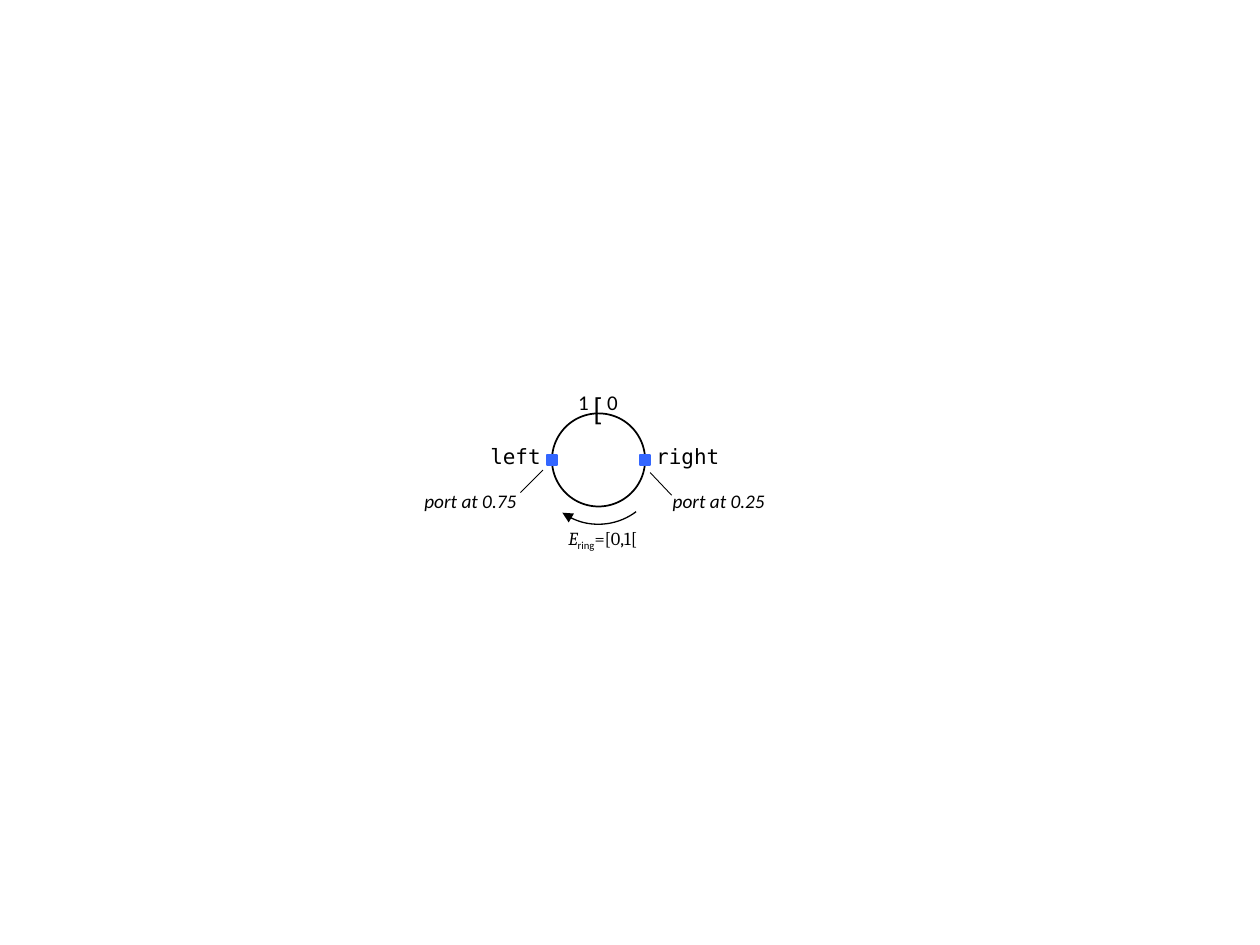
from pptx import Presentation
from pptx.dml.color import RGBColor
from pptx.enum.shapes import MSO_CONNECTOR, MSO_SHAPE
from pptx.enum.text import MSO_AUTO_SIZE, PP_ALIGN
from pptx.oxml.ns import qn
from pptx.util import Pt
from lxml import etree

LEFT, CENTER, RIGHT = PP_ALIGN.LEFT, PP_ALIGN.CENTER, PP_ALIGN.RIGHT
COLORS = {"ink": "000000", "ring": "FFFFFF", "port": "3366FF"}
MONO = {"name": "DejaVu Sans Mono", "size": Pt(12)}
BRACKET = {"name": "Calibri", "size": Pt(18)}
DIGIT = {"name": "Calibri", "size": Pt(12)}
NOTE = {"name": "Calibri", "size": Pt(11), "italic": True}
FORMULA = {"name": "Cambria", "size": Pt(10.5)}

CX, CY, RADIUS = 342, 262.8, 26.6  # ring centre and radius
PORT = 5.8


def color(name):
    return RGBColor.from_string(COLORS[name])


def add_centered(shapes, kind, cx, cy, w, h, line, width, fill=None):
    """Add a preset shape around its centre point."""
    sp = shapes.add_shape(kind, Pt(cx - w / 2), Pt(cy - h / 2), Pt(w), Pt(h))
    sp.shadow.inherit = False
    sp.line.color.rgb = color(line)
    sp.line.width = Pt(width)
    if fill:
        sp.fill.solid()
        sp.fill.fore_color.rgb = color(fill)
    else:
        sp.fill.background()
    return sp


def add_direction_arc(shapes, start, end):
    """Add the arrowed arc under the ring, angles in degrees."""
    sp = add_centered(shapes, MSO_SHAPE.ARC, CX, CY + 0.4, 72, 72.7, "ink", 0.75)
    sp.rotation = 180
    for i, angle in enumerate((start, end)):
        sp.adjustments[i] = angle * 0.6  # 60000 units a degree, scaled by 100000
    etree.SubElement(sp.line._get_or_add_ln(), qn("a:tailEnd"), type="triangle")


def add_label(shapes, x, y, w, h, runs, align=LEFT, wrap=False):
    """Add a text box; runs are (text, font values, baseline percent)."""
    sp = shapes.add_textbox(Pt(x), Pt(y), Pt(w), Pt(h))
    tf = sp.text_frame
    tf.word_wrap = wrap
    tf.auto_size = MSO_AUTO_SIZE.SHAPE_TO_FIT_TEXT
    p = tf.paragraphs[0]
    p.alignment = align
    for text, values, baseline in runs:
        r = p.add_run()
        r.text = text
        r.font.color.rgb = color("ink")
        for key, value in values.items():
            setattr(r.font, key, value)
        if baseline:
            r.font._element.set("baseline", str(baseline * 1000))


def add_leader(shapes, x1, y1, x2, y2):
    line = shapes.add_connector(MSO_CONNECTOR.STRAIGHT, Pt(x1), Pt(y1), Pt(x2), Pt(y2))
    line.line.color.rgb = color("ink")
    line.line.width = Pt(0.5)
    etree.SubElement(line._element.spPr, qn("a:effectLst"))


def main():
    prs = Presentation()
    prs.slide_width, prs.slide_height = Pt(720), Pt(540)
    shapes = prs.slides.add_slide(prs.slide_layouts[6]).shapes

    ring = shapes.add_group_shape().shapes
    add_centered(ring, MSO_SHAPE.OVAL, CX, CY, 2 * RADIUS, 2 * RADIUS, "ink", 1, "ring")
    for side in (1, -1):
        add_centered(ring, MSO_SHAPE.RECTANGLE, CX + side * RADIUS, CY,
                     PORT, PORT, "port", 1, "port")

    add_label(shapes, 272.2, 249.8, 43.9, 21.6, [("left", MONO, 0)], RIGHT)
    add_label(shapes, 367.9, 249.8, 51.1, 21.6, [("right", MONO, 0)])
    add_label(shapes, 331.9, 218.9, 20.2, 28.8, [("[", BRACKET, 0)])
    ends = shapes.add_group_shape().shapes
    for x, digit in ((339.8, "0"), (323.3, "1")):
        add_label(ends, x, 218.9, 20.9, 21.6, [(digit, DIGIT, 0)])

    add_direction_arc(shapes, 233.67, 304.8)
    add_label(shapes, 314.6, 297.4, 59.8, 20.2, [
        ("E", {**FORMULA, "italic": True}, 0),
        ("ring", {**FORMULA, "name": "Calibri"}, -25),
        ("=[0,1[", FORMULA, 0),
    ], CENTER)

    for x, text in ((377.3, "port at 0.25"), (235.4, "port at 0.75")):
        add_label(shapes, x, 275.8, 70.6, 20.9, [(text, NOTE, 0)])
    add_leader(shapes, 297.4, 281.5, 310.3, 268.6)
    add_leader(shapes, 383.8, 283, 371.5, 270)

    prs.save("out.pptx")


if __name__ == "__main__":
    main()
